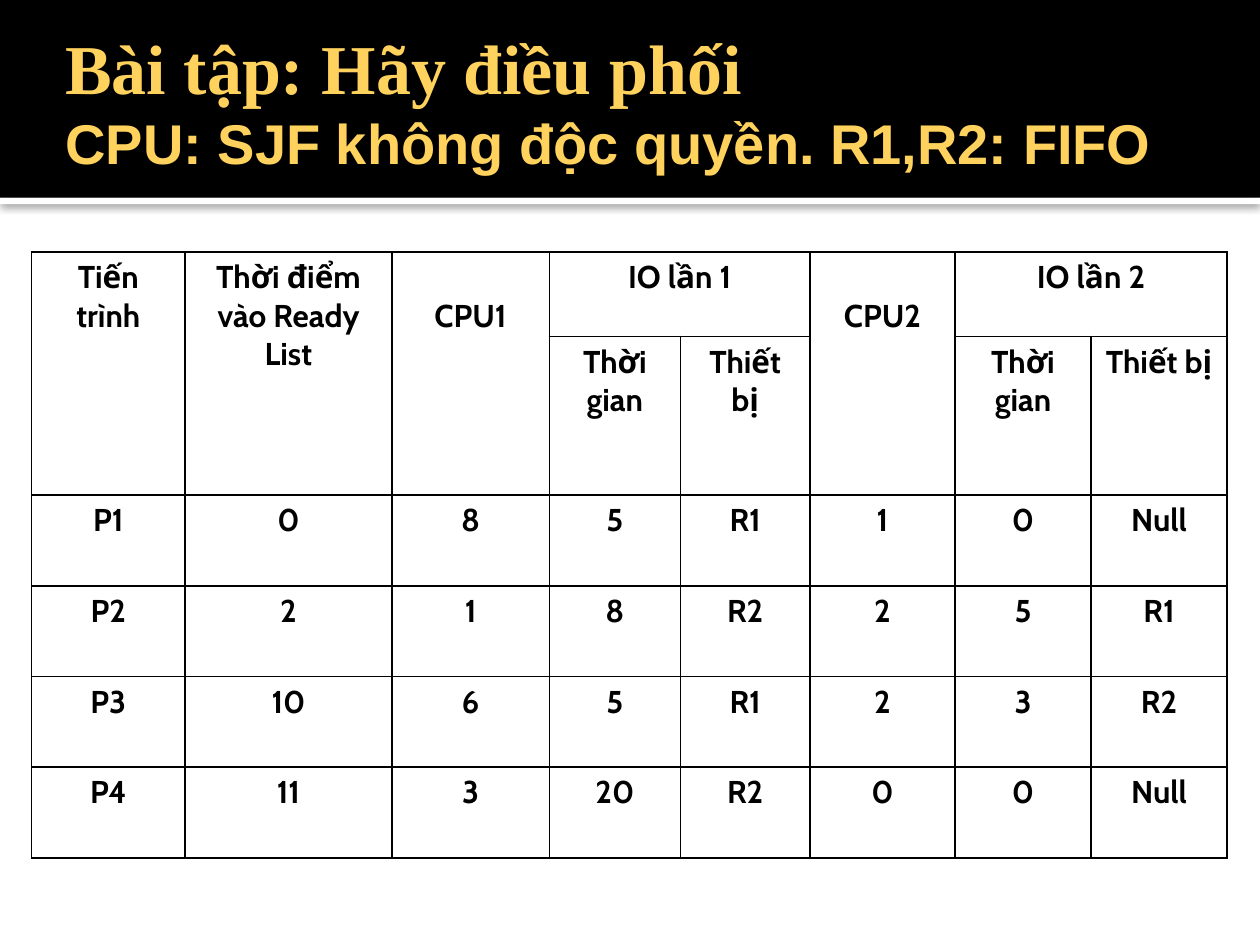
from lxml import etree
from pptx import Presentation
from pptx import util as u
from pptx.dml.color import RGBColor
from pptx.enum import shapes, text
from pptx.oxml import ns

COLORS = {"band": "000000", "strip": "FFFFFF", "title": "FFD25D", "ink": "000000"}
WIDTH, HEIGHT = 10, 7.5
BAND_HEIGHT = 1.57
COLUMNS = [1.22, 1.64, 1.25, 1.04, 1.03, 1.15, 1.08, 1.08]
ROWS = [0.67, 1.26] + [0.72] * 4
LINE = 0.31  # height of one text line in the table

# (row, column, rows spanned, columns spanned, wording, lines left free above)
HEADINGS = [
    (0, 0, 2, 1, "Tiến trình", 0),
    (0, 1, 2, 1, "Thời điểm vào Ready List", 0),
    (0, 2, 2, 1, "CPU1", 1),
    (0, 3, 1, 2, "IO lần 1", 0),
    (0, 5, 2, 1, "CPU2", 1),
    (0, 6, 1, 2, "IO lần 2", 0),
    (1, 3, 1, 1, "Thời gian", 0),
    (1, 4, 1, 1, "Thiết bị", 0),
    (1, 6, 1, 1, "Thời gian", 0),
    (1, 7, 1, 1, "Thiết bị", 0),
]
PROCESSES = [
    ["P1", "0", "8", "5", "R1", "1", "0", "Null"],
    ["P2", "2", "1", "8", "R2", "2", "5", "R1"],
    ["P3", "10", "6", "5", "R1", "2", "3", "R2"],
    ["P4", "11", "3", "20", "R2", "0", "0", "Null"],
]


def rgb(name):
    return RGBColor.from_string(COLORS[name])


def add_run(paragraph, wording, size, font, color):
    run = paragraph.add_run()
    run.text = wording
    run.font.size = u.Pt(size)
    run.font.name = font
    run.font.bold = True
    run.font.color.rgb = rgb(color)


def add_bar(slide, top, height, color):
    bar = slide.shapes.add_shape(
        shapes.MSO_SHAPE.RECTANGLE, 0, u.Inches(top), u.Inches(WIDTH), u.Inches(height))
    bar.fill.solid()
    bar.fill.fore_color.rgb = rgb(color)
    bar.line.fill.background()
    bar.shadow.inherit = False
    return bar


def add_shadow(bar):
    effects = bar._element.spPr.find(ns.qn("a:effectLst"))
    shadow = etree.SubElement(
        effects, ns.qn("a:outerShdw"), blurRad=str(u.Pt(5)), dist=str(u.Pt(0.8)),
        dir=str(90 * 60000), algn="t", rotWithShape="0")
    color = etree.SubElement(shadow, ns.qn("a:srgbClr"), val=COLORS["ink"])
    etree.SubElement(color, ns.qn("a:alpha"), val="60000")


def add_title(slide):
    title = slide.shapes.add_textbox(
        u.Inches(0.42), u.Inches(0.17), u.Inches(9.25), u.Inches(1.25))
    frame = title.text_frame
    frame.word_wrap = True
    frame.vertical_anchor = text.MSO_ANCHOR.MIDDLE
    frame.margin_left = u.Inches(0.1)
    frame.margin_right = frame.margin_top = frame.margin_bottom = u.Inches(0.05)
    heading = frame.paragraphs[0]
    add_run(heading, "Bài tập: Hãy điều phối", 40, "Times New Roman", "title")
    heading.add_line_break()
    add_run(heading, "CPU: SJF không độc quyền. R1,R2: FIFO", 32, "Arial", "title")


def style_cell(cell):
    cell.fill.background()
    properties = cell._tc.get_or_add_tcPr()
    for index, side in enumerate(("a:lnL", "a:lnR", "a:lnT", "a:lnB")):
        border = etree.Element(ns.qn(side), w=str(u.Pt(1)))
        fill = etree.SubElement(border, ns.qn("a:solidFill"))
        etree.SubElement(fill, ns.qn("a:srgbClr"), val=COLORS["ink"])
        properties.insert(index, border)


def write_cell(cell, wording, lines_above=0):
    cell.margin_top = u.Inches(0.05 + lines_above * LINE)
    paragraph = cell.text_frame.paragraphs[0]
    paragraph.alignment = text.PP_ALIGN.CENTER
    add_run(paragraph, wording, 18, "Cabin", "ink")


def add_schedule(slide):
    schedule = slide.shapes.add_table(
        len(ROWS), len(COLUMNS), u.Inches(0.25), u.Inches(2),
        u.Inches(sum(COLUMNS)), u.Inches(sum(ROWS))).table
    schedule.first_row = schedule.horz_banding = False
    for column, width in zip(schedule.columns, COLUMNS):
        column.width = u.Inches(width)
    for row, height in zip(schedule.rows, ROWS):
        row.height = u.Inches(height)
    for cell in schedule.iter_cells():
        style_cell(cell)

    # Two-level heading
    for row, column, down, across, wording, lines_above in HEADINGS:
        cell = schedule.cell(row, column)
        if down * across > 1:
            cell.merge(schedule.cell(row + down - 1, column + across - 1))
        write_cell(cell, wording, lines_above)

    # One row per process
    for row, process in enumerate(PROCESSES, start=2):
        for column, value in enumerate(process):
            write_cell(schedule.cell(row, column), value)


def main():
    deck = Presentation()
    deck.slide_width, deck.slide_height = u.Inches(WIDTH), u.Inches(HEIGHT)
    slide = deck.slides.add_slide(deck.slide_layouts[6])

    # Title band with a shadowed strip below it
    add_shadow(add_bar(slide, BAND_HEIGHT, 0.05, "strip"))
    add_bar(slide, 0, BAND_HEIGHT, "band")

    # Content
    add_schedule(slide)
    add_title(slide)
    deck.save("out.pptx")


main()
